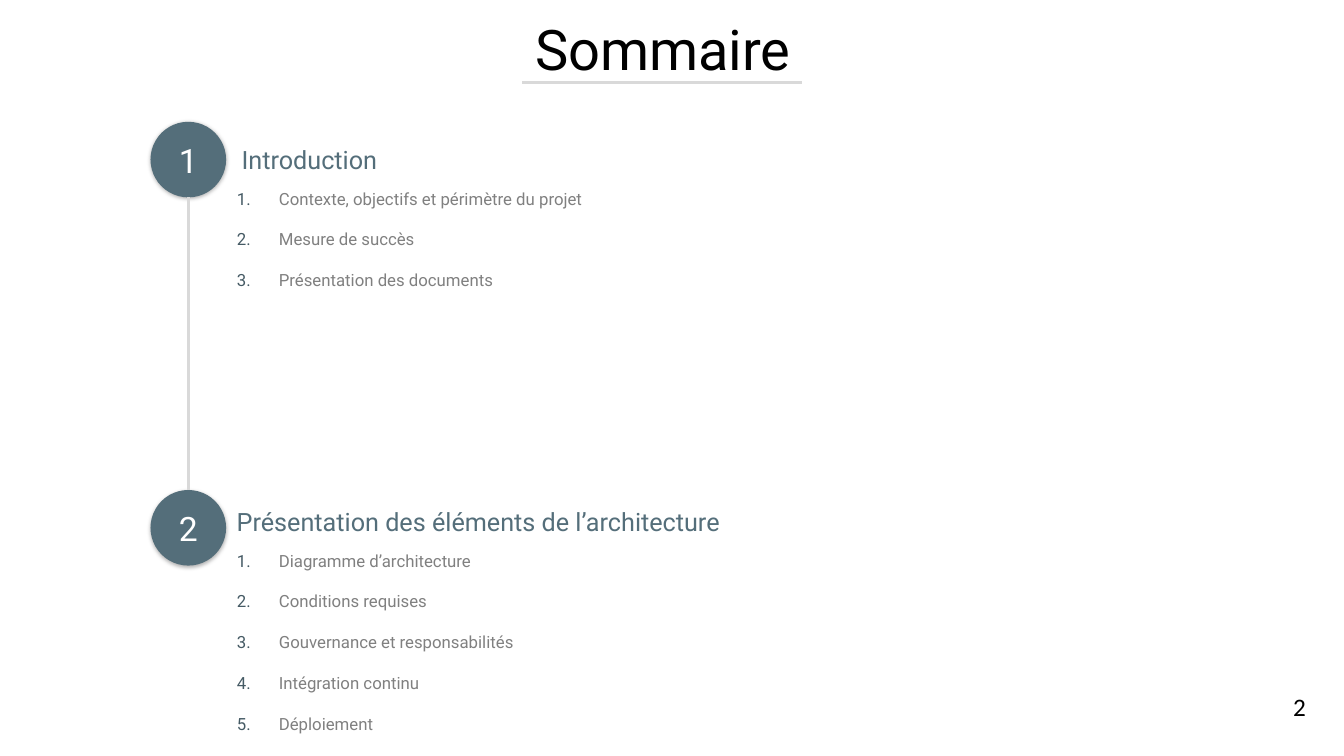
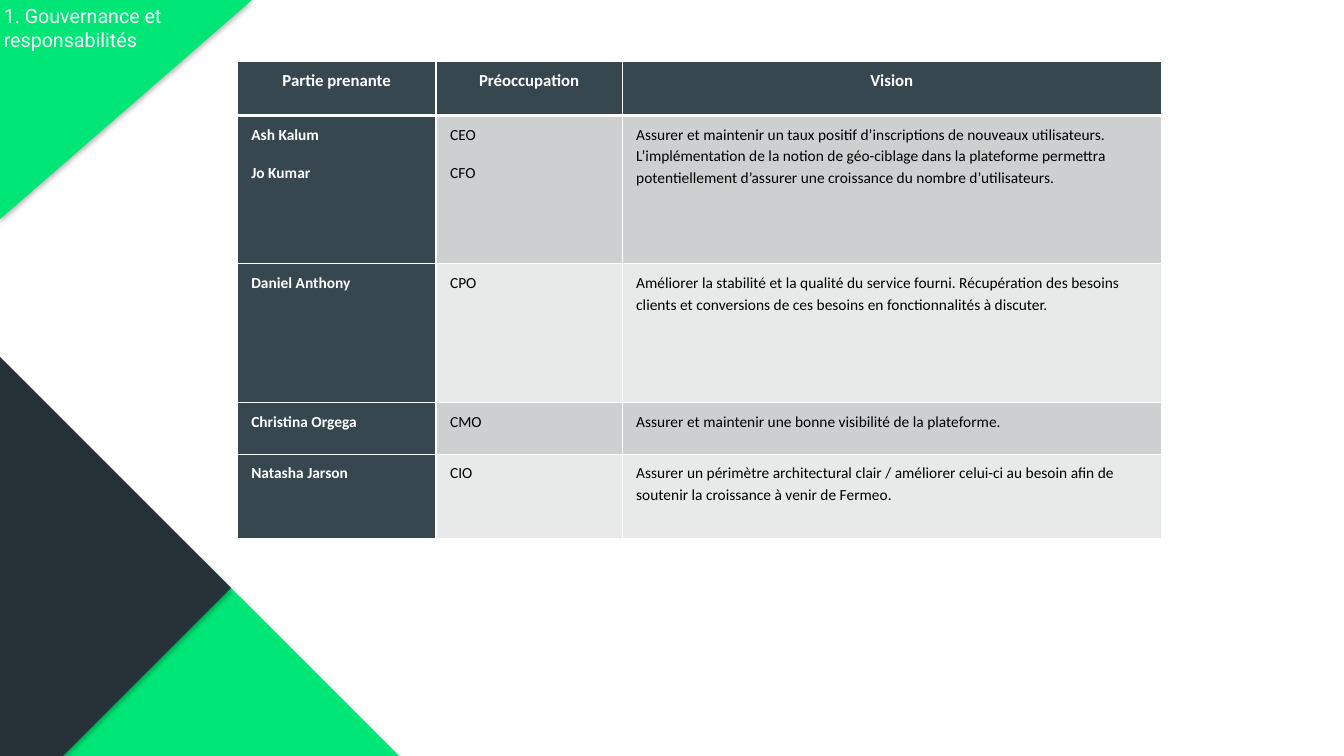
import pptx
import pptx.dml.color
import pptx.enum.shapes
import pptx.enum.text
import pptx.oxml
import pptx.oxml.ns
import pptx.util

Pt = pptx.util.Pt
ALIGN = pptx.enum.text.PP_ALIGN
ANCHOR = pptx.enum.text.MSO_ANCHOR
NAMESPACE = pptx.oxml.ns.nsdecls("a")
HEADING_FONT = "Roboto"
BODY_FONT = "Calibri"
COLOURS = {
    "black": "000000",
    "white": "FFFFFF",
    "slate": "546E7A",
    "number": "455A64",
    "grey": "808080",
    "rule": "D9D9D9",
    "green": "00E676",
    "dark": "263238",
    "header": "37474F",
    "band_odd": "CECFD0",
    "band_even": "E8E9E9",
}


def rgb(name):
    return pptx.dml.color.RGBColor.from_string(COLOURS[name])


def style_text(text_frame, size, colour, font=HEADING_FONT, align=ALIGN.LEFT,
               anchor=ANCHOR.TOP, bold=False):
    text_frame.word_wrap = True
    text_frame.auto_size = pptx.enum.text.MSO_AUTO_SIZE.NONE
    text_frame.vertical_anchor = anchor
    for paragraph in text_frame.paragraphs:
        paragraph.alignment = align
        for run in paragraph.runs:
            run.font.name = font
            run.font.size = Pt(size)
            run.font.bold = bold
            run.font.color.rgb = rgb(colour)


presentation = pptx.Presentation()
presentation.slide_width = Pt(960)
presentation.slide_height = Pt(540)
two_lists_layout = presentation.slide_layouts[3]
title_layout = presentation.slide_layouts[5]

# Slide 1: summary
slide = presentation.slides.add_slide(two_lists_layout)
title = slide.shapes.title
title.left, title.top, title.width, title.height = Pt(107), Pt(7), Pt(733), Pt(55.5)
title.text_frame.text = "Sommaire"
style_text(title.text_frame, 40, "black", align=ALIGN.CENTER)

# Heading, circle top, heading left and top, list top and height, list items
sections = [
    ("Introduction", 87, 165.5, 99.5, 131, 80, [
        "Contexte, objectifs et périmètre du projet",
        "Mesure de succès",
        "Présentation des documents",
    ]),
    ("Présentation des éléments de l’architecture", 350, 162, 358, 389.5, 138, [
        "Diagramme d’architecture",
        "Conditions requises",
        "Gouvernance et responsabilités",
        "Intégration continu",
        "Déploiement",
    ]),
]
CIRCLE_LEFT, CIRCLE_SIZE = 107.5, 54
shadowed_shapes = []
circles = []
for number, section in enumerate(sections, start=1):
    heading, circle_top, heading_left, heading_top, list_top, list_height, items = section

    circle = slide.shapes.add_shape(
        pptx.enum.shapes.MSO_SHAPE.OVAL,
        Pt(CIRCLE_LEFT), Pt(circle_top), Pt(CIRCLE_SIZE), Pt(CIRCLE_SIZE))
    circle.fill.solid()
    circle.fill.fore_color.rgb = rgb("slate")
    circle.line.fill.background()
    circle.text_frame.text = str(number)
    style_text(circle.text_frame, 24, "white", align=ALIGN.CENTER, anchor=ANCHOR.MIDDLE)
    circles.append(circle)
    shadowed_shapes.append((circle, 3, 1))

    heading_box = slide.shapes.add_textbox(
        Pt(heading_left), Pt(heading_top), Pt(400), Pt(29))
    heading_box.text_frame.text = heading
    style_text(heading_box.text_frame, 18, "slate")

    body = slide.placeholders[number]
    body.left, body.top, body.width, body.height = (
        Pt(162), Pt(list_top), Pt(273), Pt(list_height))
    body.text_frame.text = "\n".join(items)
    style_text(body.text_frame, 12, "grey")
    for paragraph in body.text_frame.paragraphs:
        paragraph.space_before = Pt(0)
        paragraph.space_after = Pt(14.7)
        properties = paragraph._p.get_or_add_pPr()
        properties.set("marL", str(Pt(30)))
        properties.set("indent", str(Pt(-30)))
        for bullet_xml in (
            f'<a:buClr {NAMESPACE}><a:srgbClr val="{COLOURS["number"]}"/></a:buClr>',
            f'<a:buFont {NAMESPACE} typeface="{HEADING_FONT}"/>',
            f'<a:buAutoNum {NAMESPACE} type="arabicPeriod"/>',
        ):
            properties.append(pptx.oxml.parse_xml(bullet_xml))

circle_middle = CIRCLE_LEFT + CIRCLE_SIZE / 2
first_circle_bottom = sections[0][1] + CIRCLE_SIZE
rules = []
for x1, y1, x2, y2 in [
    (373, 59, 573, 59),
    (circle_middle, first_circle_bottom, circle_middle, sections[1][1]),
]:
    rule = slide.shapes.add_connector(
        pptx.enum.shapes.MSO_CONNECTOR.STRAIGHT, Pt(x1), Pt(y1), Pt(x2), Pt(y2))
    rule.line.color.rgb = rgb("rule")
    rule.line.width = Pt(2)
    rule.element.spPr.append(pptx.oxml.parse_xml(f"<a:effectLst {NAMESPACE}/>"))
    rules.append(rule)
rules[1].end_connect(circles[1], 0)

page_number = slide.shapes.add_textbox(Pt(916.5), Pt(490.5), Pt(43.5), Pt(29))
page_number.text_frame.text = "2"
style_text(page_number.text_frame, 18, "black", font=BODY_FONT)

# Slide 2: stakeholders
slide = presentation.slides.add_slide(title_layout)
corners = []
for colour, points in [
    ("green", [(142.5, 397.5), (285, 540), (0.5, 540)]),
    ("green", [(0, 0), (180, 0), (0, 156.5)]),
    ("dark", [(0, 255), (165, 420), (45, 540), (0, 540)]),
]:
    vertices = [(Pt(x), Pt(y)) for x, y in points]
    builder = slide.shapes.build_freeform(*vertices[0], scale=1.0)
    builder.add_line_segments(vertices[1:], close=True)
    corner = builder.convert_to_shape()
    corner.fill.solid()
    corner.fill.fore_color.rgb = rgb(colour)
    corner.line.fill.background()
    corners.append(corner)
    shadowed_shapes.append((corner, 4, 2))

title = slide.shapes.title
title.left, title.top, title.width, title.height = Pt(-4.5), Pt(-0.5), Pt(180), Pt(41)
title.text_frame.text = "1. Gouvernance et responsabilités"
style_text(title.text_frame, 14, "white")
corners[1].element.addnext(title.element)  # lifts the title above the corner

rows = [
    ("Partie prenante", "Préoccupation", "Vision"),
    ("Ash Kalum\nJo Kumar", "CEO\nCFO",
     "Assurer et maintenir un taux positif d’inscriptions de nouveaux utilisateurs. "
     "L’implémentation de la notion de géo-ciblage dans la plateforme permettra "
     "potentiellement d’assurer une croissance du nombre d’utilisateurs."),
    ("Daniel Anthony", "CPO",
     "Améliorer la stabilité et la qualité du service fourni. Récupération des besoins "
     "clients et conversions de ces besoins en fonctionnalités à discuter."),
    ("Christina Orgega", "CMO",
     "Assurer et maintenir une bonne visibilité de la plateforme."),
    ("Natasha Jarson", "CIO",
     "Assurer un périmètre architectural clair / améliorer celui-ci au besoin afin de "
     "soutenir la croissance à venir de Fermeo."),
]
column_widths = [142, 133, 385]
row_heights = [39, 106, 99, 37, 60]
table = slide.shapes.add_table(
    len(rows), len(column_widths), Pt(169.5), Pt(43.5),
    Pt(sum(column_widths)), Pt(sum(row_heights))).table
table.horz_banding = False
table.first_col = True
for column, width in zip(table.columns, column_widths):
    column.width = Pt(width)
for row, height in zip(table.rows, row_heights):
    row.height = Pt(height)

for row_index, texts in enumerate(rows):
    for column_index, text in enumerate(texts):
        is_header = row_index == 0
        is_dark = is_header or column_index == 0
        cell = table.cell(row_index, column_index)
        cell.margin_left = cell.margin_right = Pt(10)
        cell.margin_top = cell.margin_bottom = Pt(5)
        cell.text_frame.text = text
        style_text(cell.text_frame, 12 if is_header else 11,
                   "white" if is_dark else "black", font=BODY_FONT,
                   align=ALIGN.CENTER if is_header else ALIGN.LEFT, bold=is_dark)
        for paragraph in cell.text_frame.paragraphs:
            paragraph.line_spacing = 1.15
            paragraph.space_after = Pt(12)

        border_widths = {
            "lnL": 1, "lnR": 1,
            "lnT": 3 if row_index == 1 else 1,
            "lnB": 3 if is_header else 1,
        }
        cell_properties = cell._tc.get_or_add_tcPr()
        for side, width in border_widths.items():
            cell_properties.append(pptx.oxml.parse_xml(
                f'<a:{side} {NAMESPACE} w="{Pt(width)}"><a:solidFill>'
                f'<a:srgbClr val="{COLOURS["white"]}"/></a:solidFill></a:{side}>'))
        band = "band_odd" if row_index % 2 else "band_even"
        cell.fill.solid()
        cell.fill.fore_color.rgb = rgb("header" if is_dark else band)

# Soft shadow under the circles and the corners
for shape, blur, distance in shadowed_shapes:
    shape.shadow.inherit = False
    effects = shape.element.spPr.find(pptx.oxml.ns.qn("a:effectLst"))
    effects.append(pptx.oxml.parse_xml(
        f'<a:outerShdw {NAMESPACE} blurRad="{Pt(blur)}" dist="{Pt(distance)}" '
        f'dir="5400000" algn="ctr" rotWithShape="0"><a:srgbClr val="{COLOURS["black"]}">'
        f'<a:alpha val="30000"/></a:srgbClr></a:outerShdw>'))

presentation.save("out.pptx")
